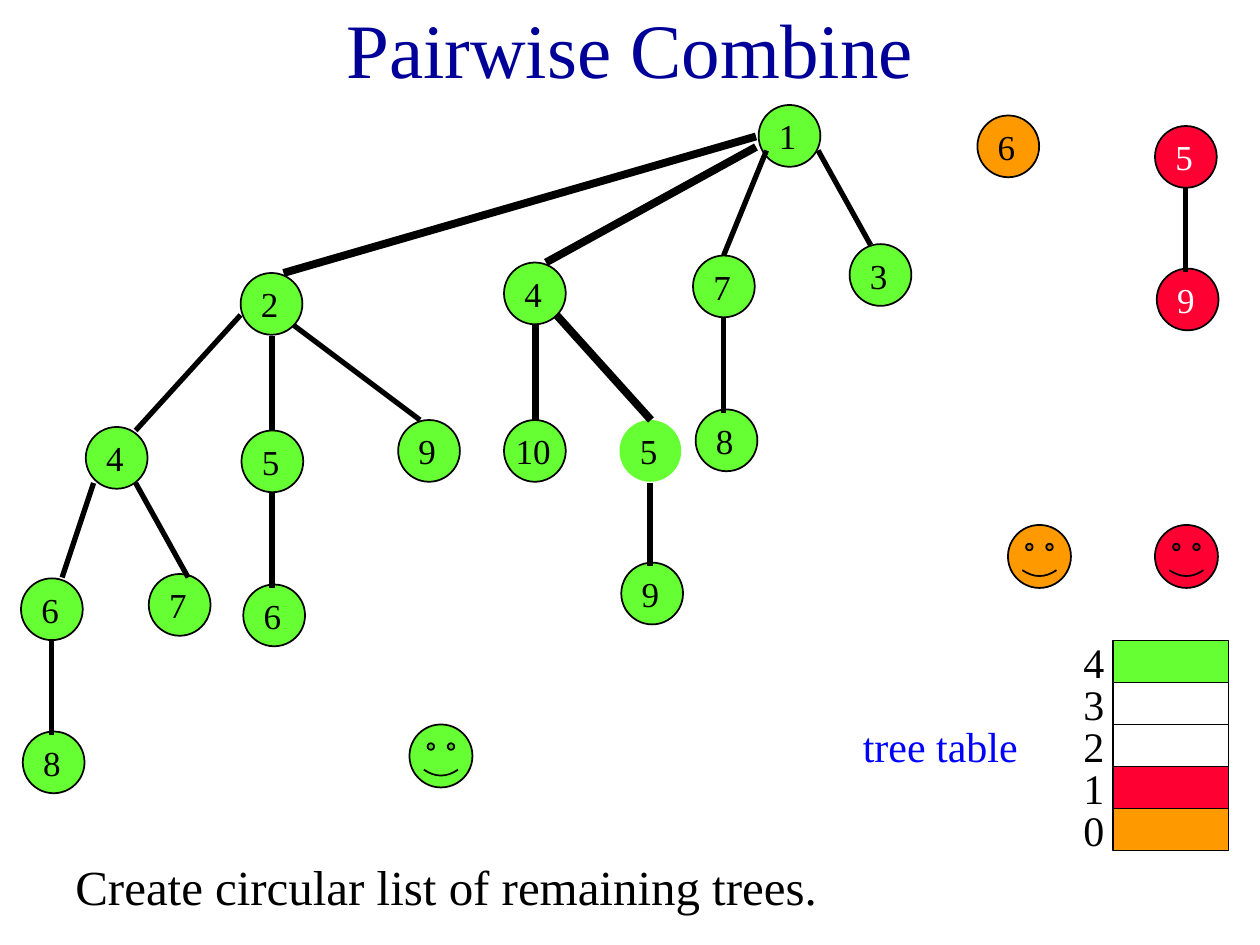
import pptx
import pptx.dml.color
import pptx.enum.shapes
import pptx.enum.text
import pptx.oxml.xmlchemy
import pptx.util

Pt = pptx.util.Pt
SHAPE = pptx.enum.shapes.MSO_SHAPE
ALIGN = pptx.enum.text.PP_ALIGN
ANCHOR = pptx.enum.text.MSO_ANCHOR

FONT = "Times New Roman"
COLOURS = {
    "title": "000099",
    "caption": "0000FF",
    "black": "000000",
    "white": "FFFFFF",
    "green": "66FF33",
    "orange": "FF9900",
    "red": "FF0033",
}

TITLE = "Pairwise Combine"
NOTE = "Create circular list of remaining trees."
TABLE_CAPTION = "tree table"

# Colour, then (key, left, top) for each node.
TREES = [
    ("orange", [("6", 558.5, 66)]),
    ("red", [("5", 660, 72), ("9", 661, 153.5)]),
    ("green", [
        ("1", 433.5, 60), ("7", 396, 146), ("3", 485.5, 139.5), ("8", 397.5, 234),
        ("2", 137.5, 156), ("5", 138, 246), ("9", 227.5, 240), ("6", 139, 334),
        ("4", 49, 244), ("6", 12, 330.5), ("7", 85, 328), ("8", 13, 418),
        ("4", 288, 150), ("10", 288, 240), ("9", 355, 321.5),
    ]),
]
UNLINED_NODE = ("5", 354, 240)
NODE_SIZE = 35.3

# Line width, then (x1, y1, x2, y2) from parent to child.
EDGES = [
    (3, [
        (677.5, 107.5, 677.5, 155.5),
        (413.5, 182, 413.5, 236), (438, 86, 413.5, 146), (467.5, 86, 497.5, 140),
        (155.5, 282, 155.5, 336), (155.5, 192, 155.5, 246), (168, 186, 240, 240),
        (29.5, 366, 29.5, 420), (53.5, 276, 35.5, 330), (77.5, 276, 107.5, 330),
        (137.5, 180, 77.5, 246), (371.5, 276, 371.5, 323.5),
    ]),
    (4.5, [
        (306, 186, 306, 240), (318, 180, 372, 240),
        (432, 84, 312, 150), (432, 78, 162, 156),
    ]),
]

SMILEYS = [("orange", 576, 300), ("green", 234, 414), ("red", 660, 300)]
SMILEY_SIZE = 36

# Degree and the colour of the tree stored there, top row first.
TREE_TABLE = [("4", "green"), ("3", None), ("2", None), ("1", "red"), ("0", "orange")]
TABLE_LEFT, TABLE_TOP, CELL_WIDTH, CELL_HEIGHT = 636, 366, 66, 24
LABEL_LEFT, LABEL_RISE = 612, 6


def rgb(name):
    return pptx.dml.color.RGBColor.from_string(COLOURS[name])


def write(frame, text, size, colour, align=ALIGN.LEFT):
    para = frame.paragraphs[0]
    para.alignment = align
    span = para.add_run()
    span.text = text
    span.font.name = FONT
    span.font.size = Pt(size)
    span.font.color.rgb = rgb(colour)


def add_shape(slide, kind, left, top, width, height, fill, lined=True):
    shape = slide.shapes.add_shape(kind, Pt(left), Pt(top), Pt(width), Pt(height))
    shape.shadow.inherit = False
    if fill:
        shape.fill.solid()
        shape.fill.fore_color.rgb = rgb(fill)
    else:
        shape.fill.background()
    if lined:
        shape.line.color.rgb = rgb("black")
        shape.line.width = Pt(1)
    else:
        shape.line.fill.background()
    return shape


def add_node(slide, key, left, top, fill, lined=True):
    node = add_shape(slide, SHAPE.OVAL, left, top, NODE_SIZE, NODE_SIZE, fill, lined)
    frame = node.text_frame
    frame.word_wrap = False
    frame.vertical_anchor = ANCHOR.MIDDLE
    frame.margin_left = frame.margin_top = frame.margin_bottom = 0
    frame.margin_right = Pt(2)
    write(frame, key, 20, "white" if fill == "red" else "black", ALIGN.CENTER)


def add_edge(slide, ends, width):
    edge = slide.shapes.add_connector(
        pptx.enum.shapes.MSO_CONNECTOR.STRAIGHT, *(Pt(value) for value in ends))
    edge.line.color.rgb = rgb("black")
    edge.line.width = Pt(width)
    properties = edge._element.spPr
    properties.append(pptx.oxml.xmlchemy.OxmlElement("a:effectLst"))


def add_text(slide, text, left, top, width, height, size, colour):
    box = slide.shapes.add_textbox(Pt(left), Pt(top), Pt(width), Pt(height))
    box.text_frame.word_wrap = True
    write(box.text_frame, text, size, colour)


def add_title(slide):
    title = slide.shapes.title
    title.left, title.top, title.width, title.height = Pt(54), Pt(0), Pt(612), Pt(54)
    title.text_frame.auto_size = pptx.enum.text.MSO_AUTO_SIZE.NONE
    title.text_frame.vertical_anchor = ANCHOR.MIDDLE
    write(title.text_frame, TITLE, 44, "title", ALIGN.CENTER)


def add_tree_table(slide):
    for row, (degree, fill) in enumerate(TREE_TABLE):
        top = TABLE_TOP + row * CELL_HEIGHT
        add_shape(slide, SHAPE.RECTANGLE, TABLE_LEFT, top, CELL_WIDTH, CELL_HEIGHT, fill)
        add_text(slide, degree, LABEL_LEFT, top - LABEL_RISE, 48, 36, 24, "black")
    add_text(slide, TABLE_CAPTION, 486, 408, 114, 36, 24, "caption")


def main():
    deck = pptx.Presentation()
    deck.slide_width, deck.slide_height = Pt(720), Pt(540)
    slide = deck.slides.add_slide(deck.slide_layouts[5])

    add_title(slide)
    add_tree_table(slide)
    for colour, nodes in TREES:
        for node in nodes:
            add_node(slide, *node, colour)
    add_node(slide, *UNLINED_NODE, "green", lined=False)
    for width, edges in EDGES:
        for ends in edges:
            add_edge(slide, ends, width)
    for colour, left, top in SMILEYS:
        add_shape(slide, SHAPE.SMILEY_FACE, left, top, SMILEY_SIZE, SMILEY_SIZE, colour)
    add_text(slide, NOTE, 36, 486, 528, 41, 28, "black")

    deck.save("out.pptx")


if __name__ == "__main__":
    main()
